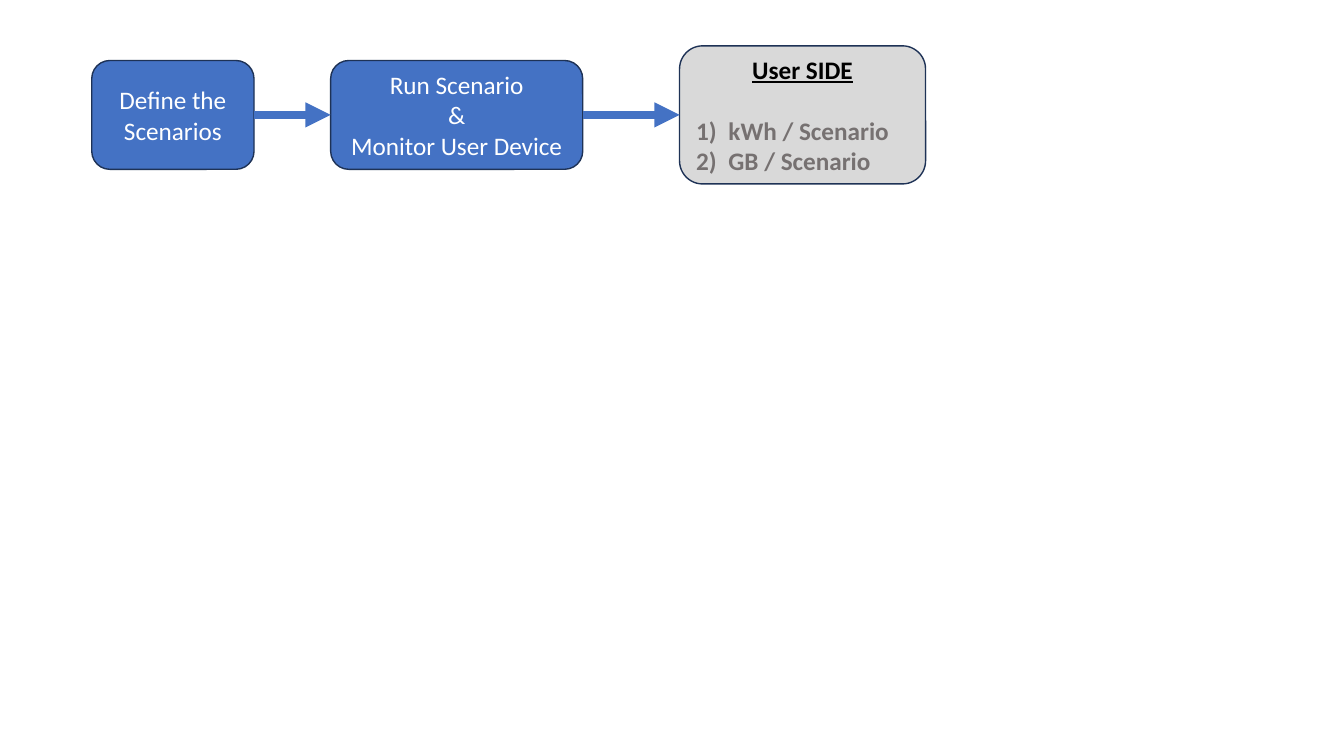
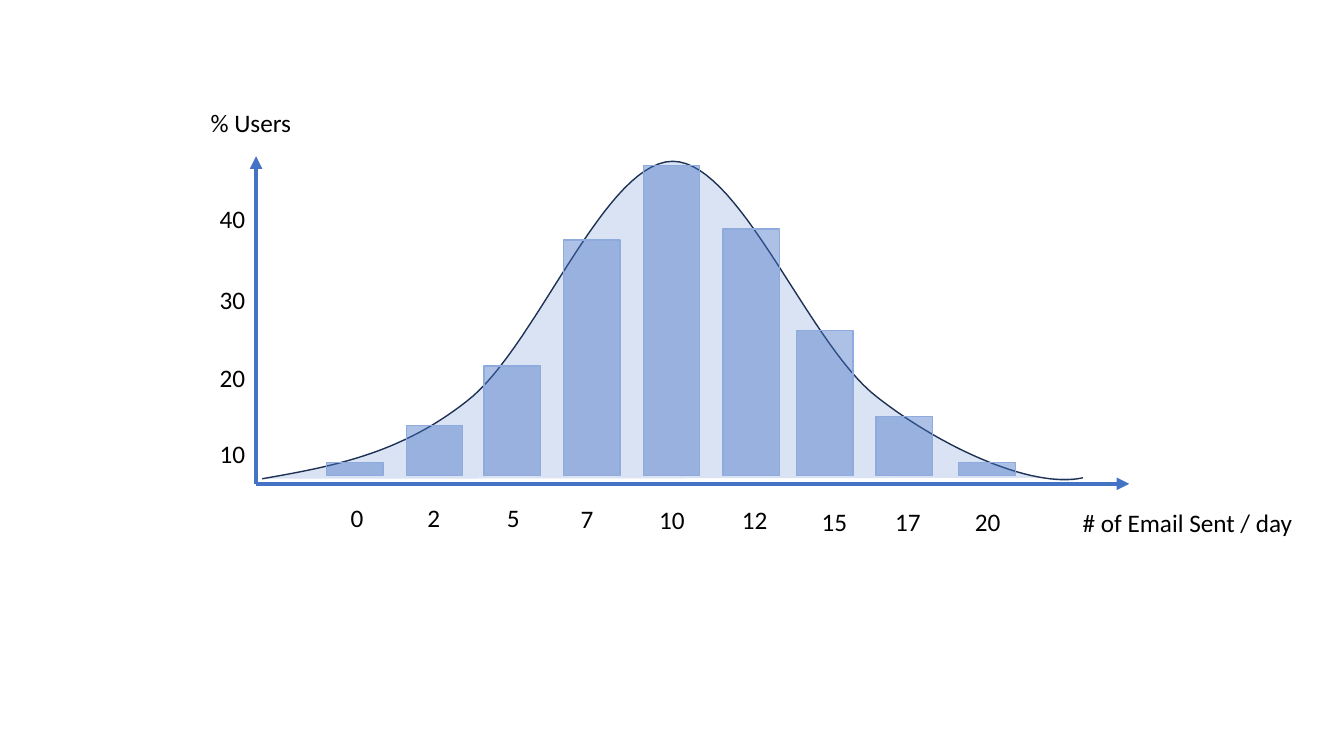
from lxml import etree
from pptx import Presentation
from pptx.dml.color import RGBColor
from pptx.enum import shapes, text
from pptx.oxml import ns
from pptx.util import Inches, Pt

COLORS = {
    "blue": "4472C4", "outline": "1E3256", "light gray": "D9D9D9", "gray": "767171",
    "pale blue": "DAE3F3", "bar line": "8FAADC", "white": "FFFFFF", "black": "000000",
}
FONT = "Calibri"

# Flow: left, width, height, fill, paragraphs with their format
FLOW_MIDDLE = 1.14
WHITE_CENTERED = {"color": "white", "align": text.PP_ALIGN.CENTER}
HEADING = {"align": text.PP_ALIGN.CENTER, "bold": True, "underline": True}
ITEM = {"color": "gray", "bold": True, "numbered": True}
FLOW_BOXES = [
    (0.91, 1.61, 1.08, "blue", [("Define the Scenarios", WHITE_CENTERED)]),
    (3.28, 2.5, 1.08, "blue", [("Run Scenario", WHITE_CENTERED), ("&", WHITE_CENTERED),
                               ("Monitor User Device", WHITE_CENTERED)]),
    (6.74, 2.44, 1.37, "light gray", [("User SIDE", HEADING),
                                      ("kWh / Scenario", {**ITEM, "space_before": 22}),
                                      ("GB / Scenario", ITEM)]),
]

# Distribution: label, bar left, bar top, label left, label top
BAR_WIDTH, BAR_BOTTOM = 0.56, 4.72
BARS = [
    ("0", 3.24, 4.59, 3.38, 4.93), ("2", 4.03, 4.22, 4.14, 4.93),
    ("5", 4.8, 3.63, 4.93, 4.93), ("7", 5.59, 2.38, 5.66, 4.94),
    ("10", 6.38, 1.64, 6.44, 4.95), ("12", 7.17, 2.27, 7.26, 4.95),
    ("15", 7.9, 3.28, 8.05, 4.97), ("17", 8.69, 4.13, 8.78, 4.97),
    ("20", 9.51, 4.59, 9.57, 4.97),
]
USER_LABELS = [("10", 4.3), ("20", 3.55), ("30", 2.77), ("40", 1.97)]
AXIS_TITLES = [("# of Email Sent / day", 10.64, 4.98, 2.6), ("% Users", 1.99, 1.02, 1.22)]
ORIGIN, X_END, Y_END = (2.54, 4.8), (11.2, 4.8), (2.54, 1.55)
CURVE_START = (2.6, 4.75)
CURVE_SEGMENTS = [  # two control points and an end point each
    ((3.28, 4.63), (3.96, 4.51), (4.63, 3.98)),
    ((5.31, 3.46), (5.99, 1.61), (6.67, 1.6)),
    ((7.34, 1.6), (8.02, 3.42), (8.7, 3.94)),
    ((9.38, 4.47), (10.27, 4.85), (10.74, 4.74)),
]
CURVE_STEPS = 30


def rgb(color):
    return RGBColor.from_string(COLORS[color])


def add_xml(parent, tag, **attributes):
    return etree.SubElement(parent, ns.qn(tag), attributes)


def write(paragraph, content, color="black", align=text.PP_ALIGN.LEFT, bold=False,
          underline=False, numbered=False, space_before=0):
    paragraph.text = content
    paragraph.alignment = align
    paragraph.space_before = Pt(space_before)
    if numbered:
        properties = paragraph._p.get_or_add_pPr()
        indent = Inches(0.32)
        properties.set("marL", str(indent))
        properties.set("indent", str(-indent))
        add_xml(properties, "a:buFont", typeface=FONT)
        add_xml(properties, "a:buAutoNum", type="arabicParenR")
    for font in (paragraph.font, paragraph.runs[0].font):
        font.name, font.size = FONT, Pt(18)
        font.bold, font.underline = bold, underline
        font.color.rgb = rgb(color)


def paint(shape, fill, line, opacity=None):
    shape.shadow.inherit = False
    shape.fill.solid()
    shape.fill.fore_color.rgb = rgb(fill)
    if opacity:
        color = shape._element.spPr.find(ns.qn("a:solidFill"))[0]
        add_xml(color, "a:alpha", val=str(opacity * 1000))
    shape.line.color.rgb = rgb(line)
    shape.line.width = Pt(1)


def add_label(slide, content, left, top, width):
    box = slide.shapes.add_textbox(Inches(left), Inches(top), Inches(width), Inches(0.4))
    box.text_frame.word_wrap = True
    write(box.text_frame.paragraphs[0], content)


def add_arrow(slide, start, end, width):
    arrow = slide.shapes.add_connector(
        shapes.MSO_CONNECTOR.STRAIGHT, *map(Inches, start), *map(Inches, end))
    arrow.line.color.rgb = rgb("blue")
    arrow.line.width = Pt(width)
    add_xml(arrow.line._get_or_add_ln(), "a:tailEnd", type="triangle")
    add_xml(arrow._element.spPr, "a:effectLst")
    return arrow


def bezier_points():
    """Sample the cubic curve segments as points in EMU."""
    start, points = CURVE_START, []
    for first, second, end in CURVE_SEGMENTS:
        corners = (start, first, second, end)
        for step in range(1, CURVE_STEPS + 1):
            t = step / CURVE_STEPS
            weights = ((1 - t) ** 3, 3 * t * (1 - t) ** 2, 3 * t ** 2 * (1 - t), t ** 3)
            points.append(tuple(
                Inches(sum(weight * corner[axis] for weight, corner in zip(weights, corners)))
                for axis in (0, 1)))
        start = end
    return points


def build_flow(slide):
    boxes = []
    for left, width, height, fill, paragraphs in FLOW_BOXES:
        box = slide.shapes.add_shape(
            shapes.MSO_SHAPE.ROUNDED_RECTANGLE, Inches(left), Inches(FLOW_MIDDLE - height / 2),
            Inches(width), Inches(height))
        paint(box, fill, "outline")
        frame = box.text_frame
        frame.word_wrap = True
        frame.vertical_anchor = text.MSO_ANCHOR.MIDDLE
        for index, (content, style) in enumerate(paragraphs):
            paragraph = frame.add_paragraph() if index else frame.paragraphs[0]
            write(paragraph, content, **style)
        boxes.append(box)
    for source, target in zip(boxes, boxes[1:]):
        arrow = add_arrow(slide, (0, 0), (1, 1), 6)
        arrow.begin_connect(source, 3)
        arrow.end_connect(target, 1)


def build_distribution(slide):
    builder = slide.shapes.build_freeform(*map(Inches, CURVE_START))
    builder.add_line_segments(bezier_points(), close=False)
    paint(builder.convert_to_shape(), "pale blue", "outline")
    for end in (Y_END, X_END):
        add_arrow(slide, ORIGIN, end, 3)
    for label, left, top, label_left, label_top in BARS:
        bar = slide.shapes.add_shape(
            shapes.MSO_SHAPE.RECTANGLE, Inches(left), Inches(top),
            Inches(BAR_WIDTH), Inches(BAR_BOTTOM - top))
        paint(bar, "blue", "bar line", opacity=44)
        add_label(slide, label, label_left, label_top, 0.47)
    for label, top in USER_LABELS:
        add_label(slide, label, 2.08, top, 0.56)
    for title in AXIS_TITLES:
        add_label(slide, *title)


def main():
    presentation = Presentation()
    presentation.slide_width, presentation.slide_height = Inches(13.33), Inches(7.5)
    blank = presentation.slide_layouts[6]
    for build in (build_flow, build_distribution):
        build(presentation.slides.add_slide(blank))
    presentation.save("out.pptx")


if __name__ == "__main__":
    main()
